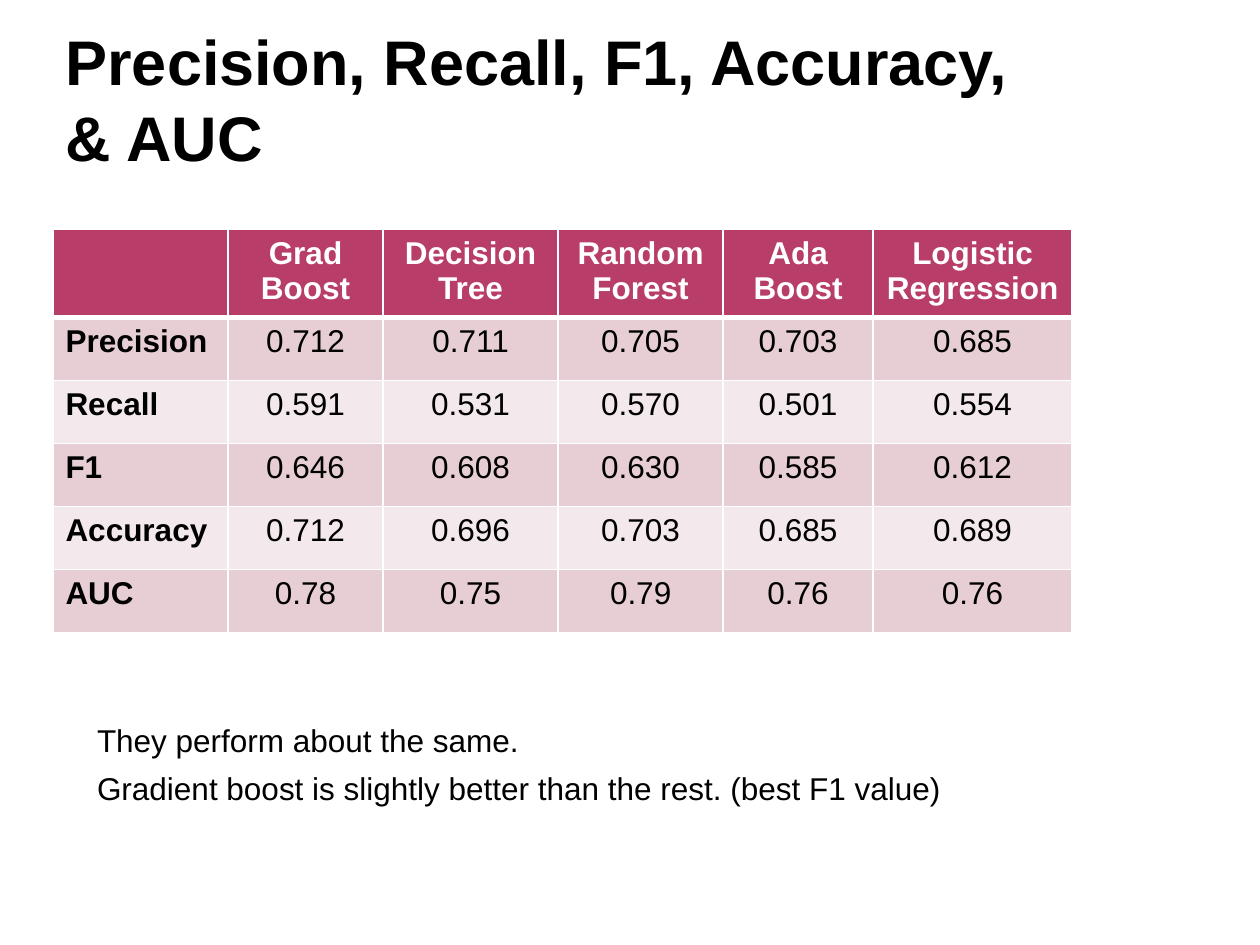
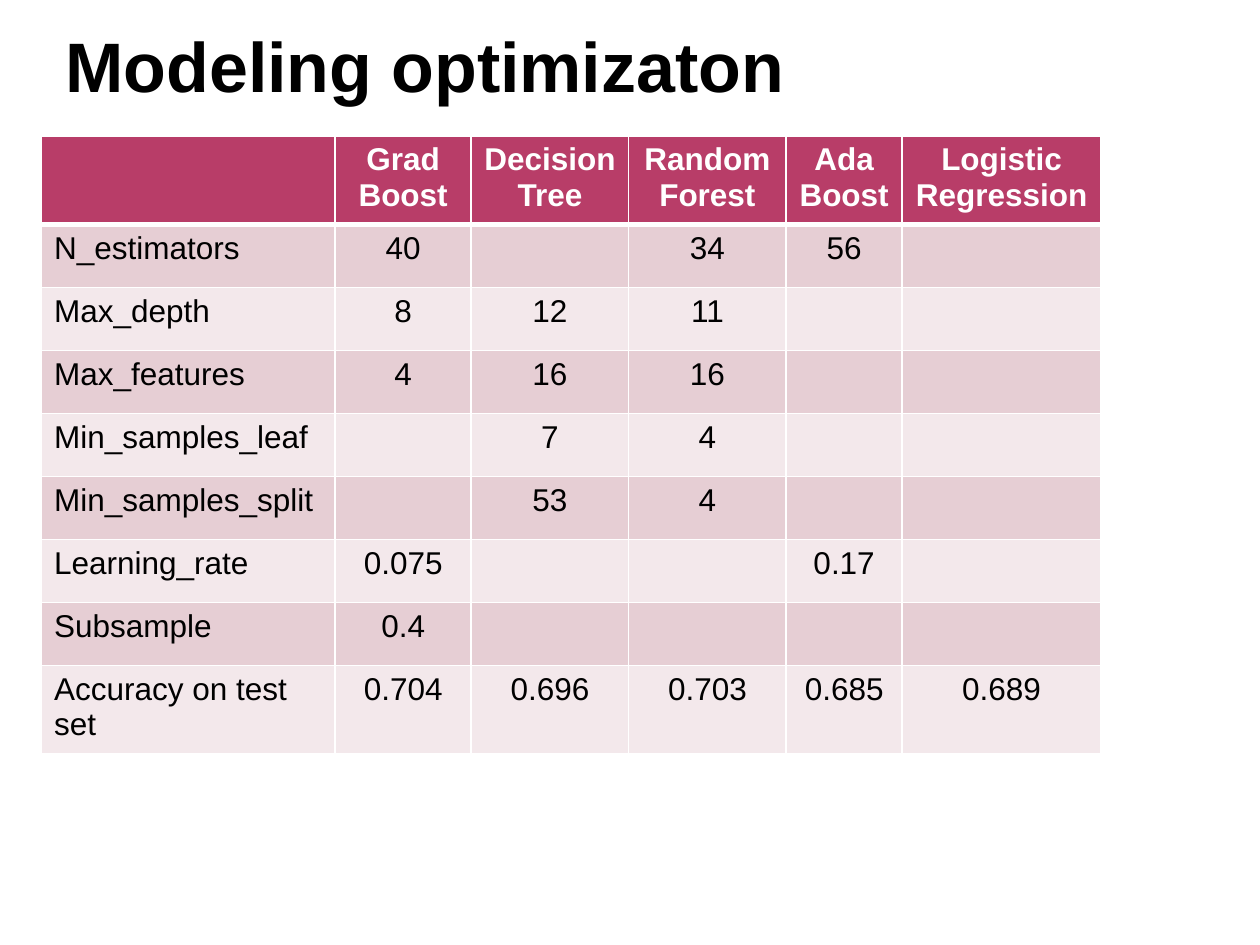
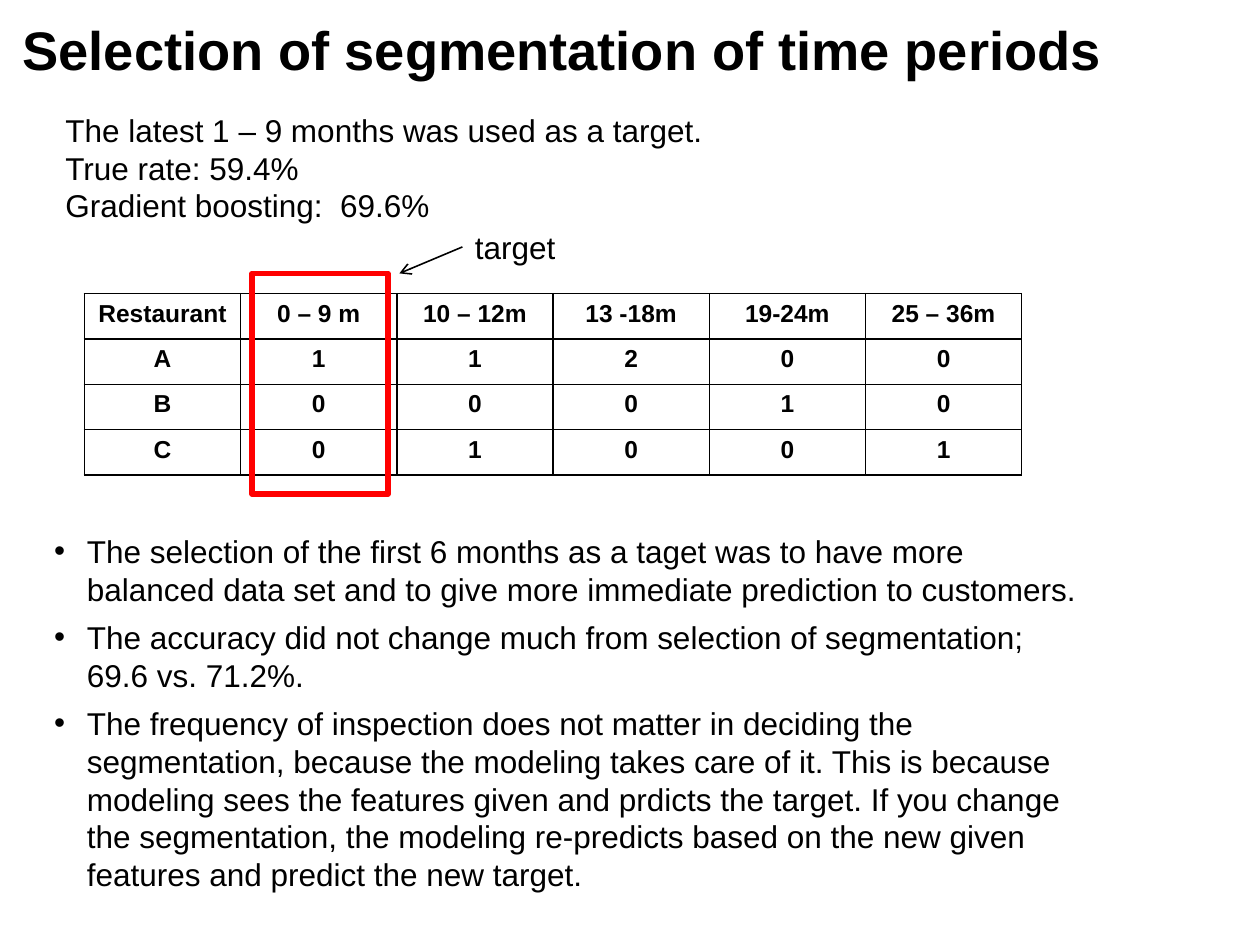
from lxml import etree
from pptx import Presentation
from pptx import util as u
from pptx.dml import color
from pptx.enum import shapes, text
from pptx.oxml import ns

FONT = "Arial"
BLACK, WHITE, RED = "000000", "FFFFFF", "FF0000"
HEAD, BANDS = "B83D68", ("E6CED4", "F3E8EB")
MODELS = ["", "Grad Boost", "Decision Tree", "Random Forest", "Ada Boost",
          "Logistic Regression"]
LEFT, MID = text.PP_ALIGN.LEFT, text.PP_ALIGN.CENTER


def rgb(code):
    return color.RGBColor.from_string(code)


def node(root, tag, **attrs):
    return etree.SubElement(root, ns.qn(tag), attrs)


class Deck:
    def __init__(self):
        self.prs = Presentation()
        self.prs.slide_width, self.prs.slide_height = u.Inches(10), u.Inches(7.5)
        self.slide = None

    def page(self, layout):
        self.slide = self.prs.slides.add_slide(self.prs.slide_layouts[layout])

    def place(self, shape, box):
        shape.left, shape.top, shape.width, shape.height = map(u.Inches, box)

    def label(self, par, words, size, bold=False, ink=BLACK):
        run = par.add_run()
        run.text = words
        font = run.font
        font.name, font.size, font.bold = FONT, u.Pt(size), bold
        font.color.rgb = rgb(ink)

    def prose(self, shape, lines, size=18, bold=False, after=0, bullet=None):
        frame = shape.text_frame
        frame.word_wrap = True
        frame.auto_size = text.MSO_AUTO_SIZE.SHAPE_TO_FIT_TEXT
        frame.vertical_anchor = text.MSO_ANCHOR.TOP
        for i, line in enumerate(lines):
            par = frame.add_paragraph() if i else frame.paragraphs[0]
            par.alignment = LEFT
            par.line_spacing = u.Pt(size * 1.2)
            par.space_before, par.space_after = u.Pt(0), u.Pt(after)
            props = par._p.get_or_add_pPr()
            hang = u.Inches(0.26) if bullet else 0
            props.set("marL", str(hang))
            props.set("indent", str(-hang))
            if bullet:
                node(props, "a:buChar", char=bullet)
            else:
                node(props, "a:buNone")
            self.label(par, line, size, bold)

    def title(self, words, box, size):
        shape = self.slide.shapes.title
        self.place(shape, box)
        self.prose(shape, [words], size, bold=True)

    def body(self, lines, box, bullet=None):
        shape = self.slide.placeholders[1]
        self.place(shape, box)
        self.prose(shape, lines, after=6, bullet=bullet)

    def note(self, lines, box):
        shape = self.slide.shapes.add_textbox(*map(u.Inches, box))
        self.prose(shape, lines)
        return shape

    def edge(self, cell, ink, top=1, low=1):
        props = cell._tc.get_or_add_tcPr()
        for side, width in zip("LRTB", (1, 1, top, low)):
            line = node(props, "a:ln" + side, w=str(u.Pt(width)))
            node(node(line, "a:solidFill"), "a:srgbClr", val=ink)

    def cell(self, cell, words, fill, align, size, bold, ink):
        cell.fill.solid()
        cell.fill.fore_color.rgb = rgb(fill)
        par = cell.text_frame.paragraphs[0]
        par.alignment = align
        if words:
            self.label(par, words, size, bold, ink)
        else:
            par.font.size = u.Pt(size)

    def grid(self, at, cols, rows):
        box = (*at, sum(cols), sum(rows))
        frame = self.slide.shapes.add_table(len(rows), len(cols), *map(u.Inches, box))
        table = frame.table
        table.first_row = table.horz_banding = False
        for col, width in zip(table.columns, cols):
            col.width = u.Inches(width)
        for row, height in zip(table.rows, rows):
            row.height = u.Inches(height)
        return table

    def scores(self, data, at, cols, rows, bold):
        """Banded table with one column per model."""
        table = self.grid(at, cols, rows)
        for r, row in enumerate([MODELS] + data):
            for c, words in enumerate(row):
                cell = table.cell(r, c)
                self.edge(cell, WHITE, 3 if r == 1 else 1, 1 if r else 3)
                fill = BANDS[(r - 1) % 2] if r else HEAD
                self.cell(cell, words, fill, MID if c or not r else LEFT, 18,
                          r == 0 or (bold and c == 0), BLACK if r else WHITE)

    def plain(self, data, at, cols, rows):
        """White table with black rules."""
        table = self.grid(at, cols, rows)
        for r, row in enumerate(data):
            for c, words in enumerate(row):
                cell = table.cell(r, c)
                self.edge(cell, BLACK)
                self.cell(cell, words, WHITE, MID, 14, True, BLACK)

    def ring(self, box, ink, width):
        shape = self.slide.shapes.add_shape(
            shapes.MSO_SHAPE.RECTANGLE, *map(u.Inches, box))
        shape.shadow.inherit = False
        shape.fill.background()
        shape.line.color.rgb = rgb(ink)
        shape.line.width = u.Pt(width)

    def arrow(self, source, tip):
        x, y = map(u.Inches, tip)
        line = self.slide.shapes.add_connector(
            shapes.MSO_CONNECTOR.STRAIGHT, x, y, x, y)
        line.begin_connect(source, 1)
        line.line.color.rgb = rgb(BLACK)
        line.line.width = u.Pt(0.9)
        props = line._element.spPr
        node(props.find(ns.qn("a:ln")), "a:tailEnd", type="arrow")
        node(props, "a:effectLst")


def main():
    deck = Deck()

    # Model scores
    deck.page(1)
    deck.title("Precision, Recall, F1, Accuracy, & AUC", (0.42, 0.13, 8, 1.31), 36)
    deck.scores([
        ["Precision", "0.712", "0.711", "0.705", "0.703", "0.685"],
        ["Recall", "0.591", "0.531", "0.570", "0.501", "0.554"],
        ["F1", "0.646", "0.608", "0.630", "0.585", "0.612"],
        ["Accuracy", "0.712", "0.696", "0.703", "0.685", "0.689"],
        ["AUC", "0.78", "0.75", "0.79", "0.76", "0.76"],
    ], (0.42, 1.82), [1.39, 1.23, 1.39, 1.31, 1.19, 1.58],
        [0.69] + [0.5] * 5, bold=True)
    deck.body(["They perform about the same.",
               "Gradient boost is slightly better than the rest. (best F1 value)"],
              (0.67, 5.67, 7.42, 0.79))

    # Tuned parameters
    deck.page(5)
    deck.title("Modeling optimizaton", (0.42, 0.13, 8, 0.77), 40)
    deck.scores([
        ["N_estimators", "40", "", "34", "56", ""],
        ["Max_depth", "8", "12", "11", "", ""],
        ["Max_features", "4", "16", "16", "", ""],
        ["Min_samples_leaf", "", "7", "4", "", ""],
        ["Min_samples_split", "", "53", "4", "", ""],
        ["Learning_rate", "0.075", "", "", "0.17", ""],
        ["Subsample", "0.4", "", "", "", ""],
        ["Accuracy on test set", "0.704", "0.696", "0.703", "0.685", "0.689"],
    ], (0.33, 1.08), [2.33, 1.08, 1.25, 1.25, 0.92, 1.58],
        [0.69] + [0.5] * 7 + [0.69], bold=False)

    # Time periods
    deck.page(1)
    deck.title("Selection of segmentation of time periods", (0.08, 0.08, 9.17, 0.64), 31)
    deck.note(["The latest 1 – 9 months was used as a target.",
               "True rate: 59.4%",
               "Gradient boosting:  69.6%"], (0.42, 0.83, 7.92, 1.01))
    deck.plain([
        ["Restaurant", "0 – 9 m", "10 – 12m", "13 -18m", "19-24m", "25 – 36m"],
        ["A", "1", "1", "2", "0", "0"],
        ["B", "0", "0", "0", "1", "0"],
        ["C", "0", "1", "0", "0", "1"],
    ], (0.67, 2.33), [1.24] * 6, [0.36] * 4)
    deck.ring((2, 2.17, 1.08, 1.75), RED, 3.15)
    target = deck.note(["target"], (3.67, 1.76, 1.17, 0.4))
    deck.arrow(target, (3.17, 2.17))
    deck.body([
        "The selection of the first 6 months as a taget was to have more balanced "
        "data set and to give more immediate prediction to customers.",
        "The accuracy did not change much from selection of segmentation; "
        "69.6 vs. 71.2%.",
        "The frequency of inspection does not matter in deciding the segmentation, "
        "because the modeling takes care of it. This is because modeling sees the "
        "features given and prdicts the target. If you change the segmentation, the "
        "modeling re-predicts based on the new given features and predict the new "
        "target.",
    ], (0.33, 4.17, 8.42, 3), bullet="•")

    deck.prs.save("out.pptx")


if __name__ == "__main__":
    main()
